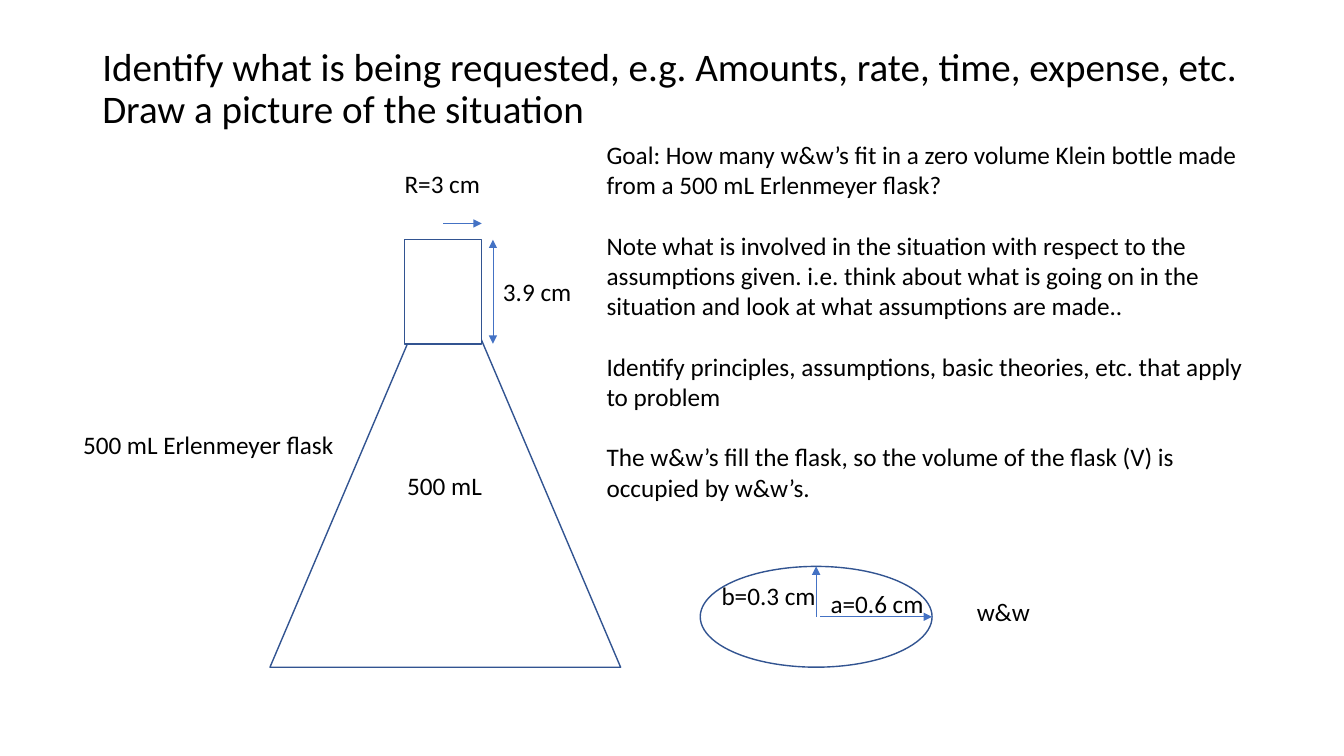
import pptx
import pptx.dml.color
import pptx.enum.shapes
import pptx.enum.text
import pptx.util
from lxml import etree

Pt = pptx.util.Pt
Shape = pptx.enum.shapes.MSO_SHAPE
Anchor = pptx.enum.text.MSO_ANCHOR
Size = pptx.enum.text.MSO_AUTO_SIZE
NS = "{http://schemas.openxmlformats.org/drawingml/2006/main}"


def color(code):
    return pptx.dml.color.RGBColor.from_string(code)


class Pen:
    font = "Calibri"
    ink = "000000"
    edge = "325491"
    arrow_ink = "4472C4"

    def __init__(self, slide):
        self.slide = slide
        self.shapes = slide.shapes

    def group(self):
        self.shapes = self.slide.shapes.add_group_shape().shapes

    def ungroup(self):
        self.shapes = self.slide.shapes

    def text(self, box, lines, size=18, wrap=True, gap=0, lead=None, anchor=Anchor.TOP, fit=Size.SHAPE_TO_FIT_TEXT):
        frame = self.shapes.add_textbox(*map(Pt, box)).text_frame
        frame.word_wrap = wrap
        frame.auto_size = fit
        frame.vertical_anchor = anchor
        frame.text = "\n".join(lines)
        for para in frame.paragraphs:
            para.space_after = Pt(gap)
            para.line_spacing = lead
            for run in para.runs:
                run.font.name = self.font
                run.font.size = Pt(size)
                run.font.color.rgb = color(self.ink)

    def shape(self, kind, box, fill=None):
        shape = self.shapes.add_shape(kind, *map(Pt, box))
        shape.shadow.inherit = False
        if fill:
            shape.fill.solid()
            shape.fill.fore_color.rgb = color(fill)
        else:
            shape.fill.background()
        shape.line.color.rgb = color(self.edge)
        shape.line.width = Pt(1)

    def arrow(self, start, end, both=False):
        kind = pptx.enum.shapes.MSO_CONNECTOR.STRAIGHT
        link = self.shapes.add_connector(kind, *map(Pt, start + end))
        link.line.color.rgb = color(self.arrow_ink)
        link.line.width = Pt(0.5)
        props = link._element.spPr
        for tip in ("headEnd", "tailEnd") if both else ("tailEnd",):
            etree.SubElement(props.find(NS + "ln"), NS + tip, type="triangle")
        etree.SubElement(props, NS + "effectLst")


def main():
    deck = pptx.Presentation()
    deck.slide_width, deck.slide_height = Pt(960), Pt(540)
    pen = Pen(deck.slides.add_slide(deck.slide_layouts[6]))

    title = "Identify what is being requested, e.g. Amounts, rate, time, expense, etc.\vDraw a picture of the situation"
    pen.text((66, 28.75, 828, 71.3), [title], size=27.9, lead=0.9, anchor=Anchor.MIDDLE, fit=Size.NONE)

    left, top, width, height = 288.9, 171.2, 55.2, 74.4
    right, base = left + width, top + height
    pen.shape(Shape.ISOSCELES_TRIANGLE, (192.8, 182, 250.5, 294.6))
    pen.shape(Shape.RECTANGLE, (left, top, width, height), "FFFFFF")
    pen.text((283.8, 332.2, 68.4, 29), ["500 mL"], wrap=False)
    pen.text((352.2, 193.8, 64, 29), ["3.9 cm"], wrap=False)
    pen.text((281.9, 116.8, 69, 29), ["R=3 cm"], wrap=False)
    pen.arrow((left + width / 2, 159.6), (right, 159.6))
    pen.arrow((right + 8, top), (right + 8, base), both=True)
    pen.text((52.2, 303.2, 195, 29), ["500 mL Erlenmeyer flask"], wrap=False)

    pen.group()
    left, top, width, height = 500.2, 404.6, 165.6, 72
    mid, axis = left + width / 2, top + height / 2
    pen.shape(Shape.OVAL, (left, top, width, height))
    pen.arrow((mid + 3, axis), (left + width, axis))
    pen.arrow((mid, axis), (mid, top))
    pen.text((508.3, 411, 86.4, 29), ["b=0.3 cm"])
    pen.text((586.2, 416.8, 82.8, 29), ["a=0.6 cm"])
    pen.text((690.6, 422.4, 56.2, 29), ["w&w"], wrap=False)
    pen.ungroup()

    notes = [
        "Goal: How many w&w’s fit in a zero volume Klein bottle made from a 500 mL Erlenmeyer flask?",
        "Note what is involved in the situation with respect to the assumptions given. i.e. think about "
        "what is going on in the situation and look at what assumptions are made..",
        "Identify principles, assumptions, basic theories, etc. that apply to problem",
        "The w&w’s fill the flask, so the volume of the flask (V) is occupied by w&w’s.",
    ]
    pen.text((426.2, 96, 480, 269), notes, gap=21.6)
    deck.save("out.pptx")


if __name__ == "__main__":
    main()
